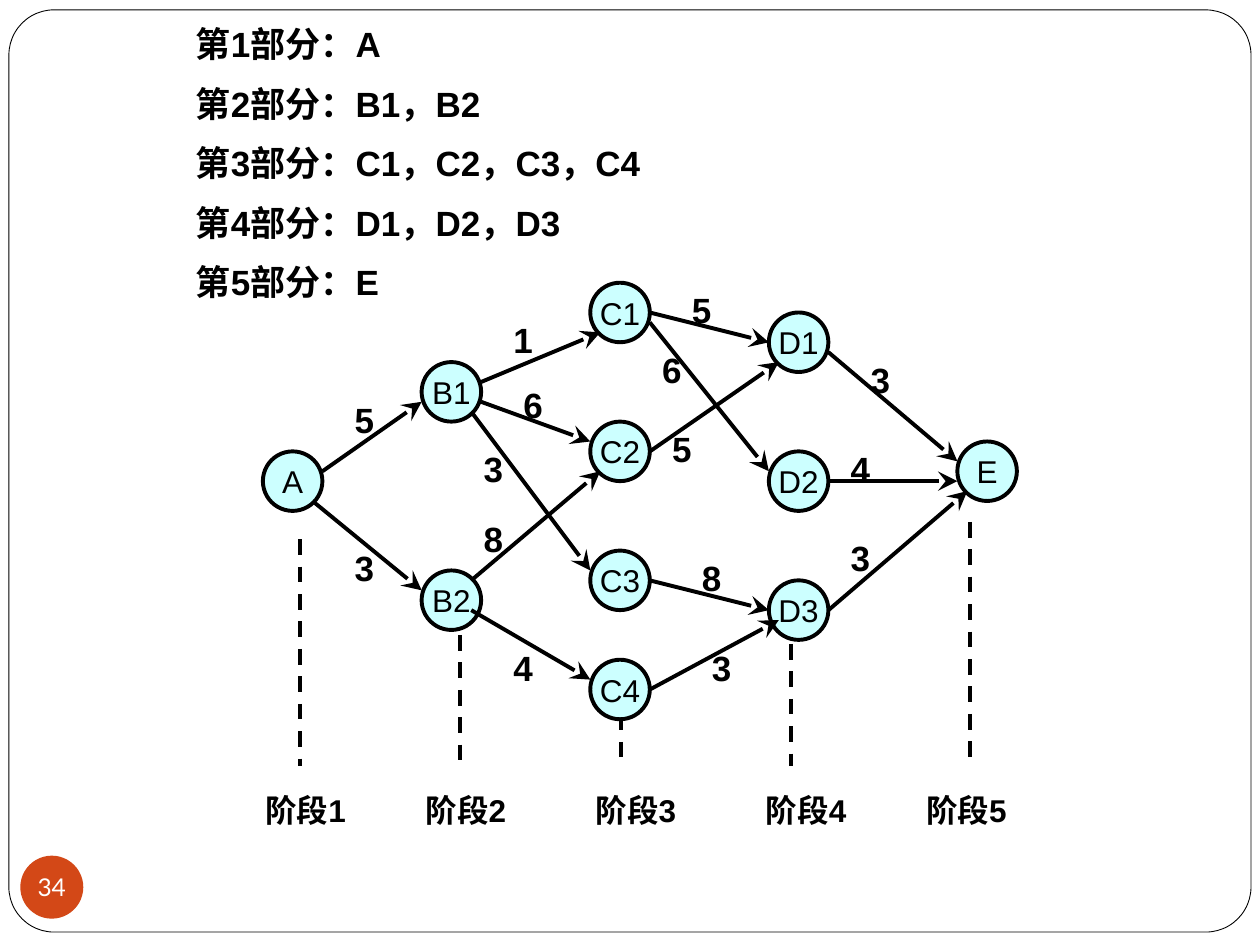
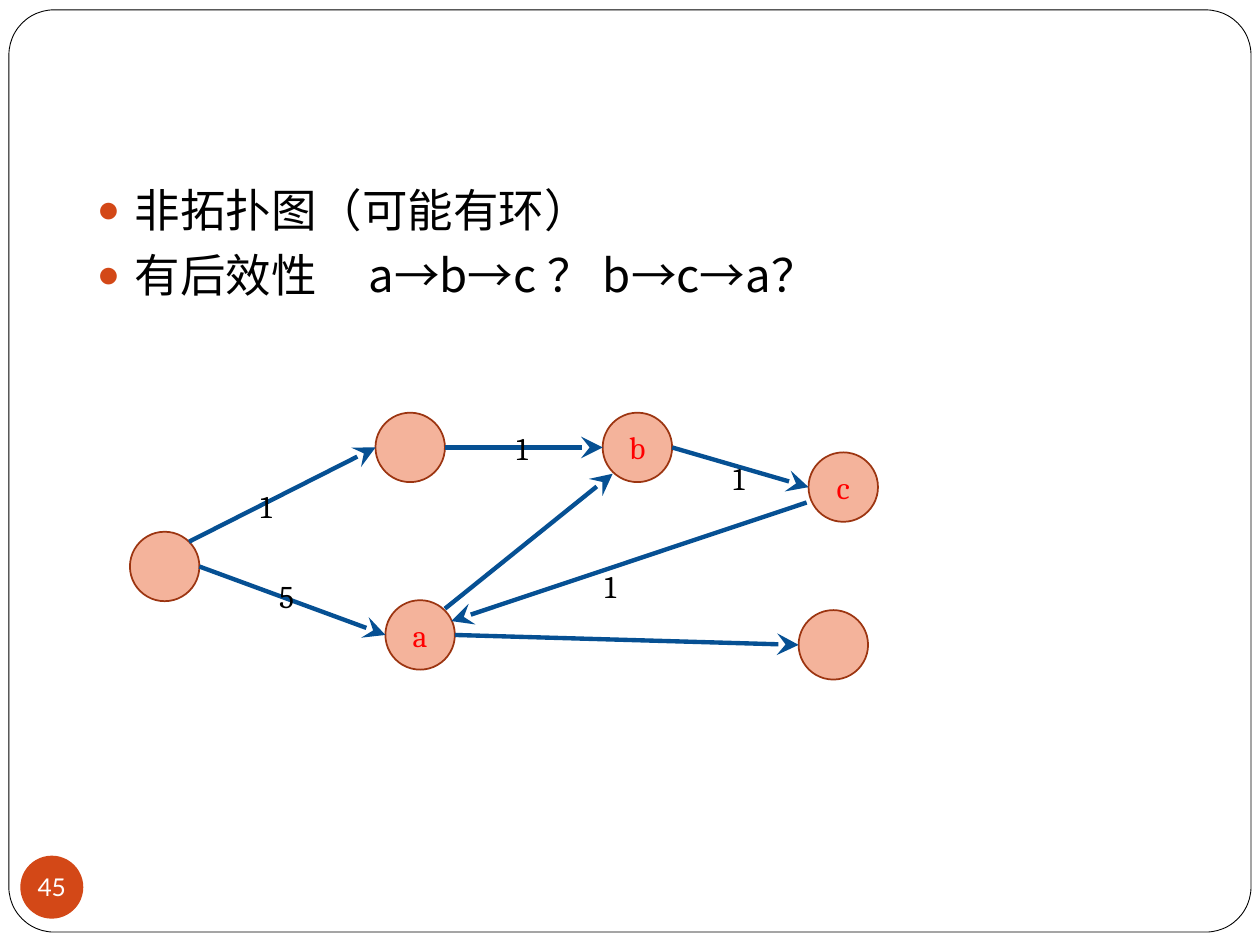
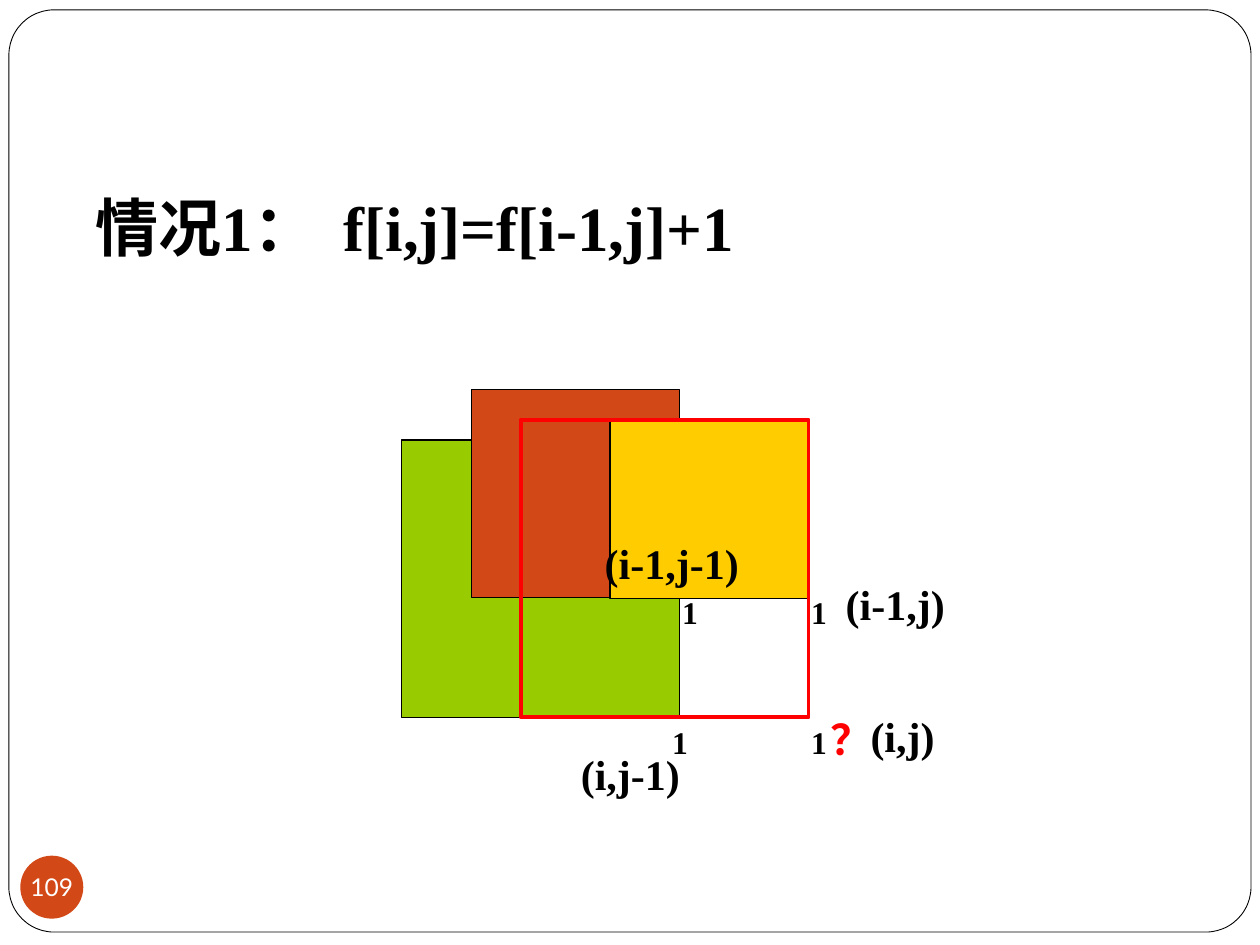
from lxml.etree import SubElement
from pptx import Presentation
from pptx.dml.color import RGBColor
from pptx.enum.dml import MSO_LINE
from pptx.enum.shapes import MSO_CONNECTOR, MSO_SHAPE
from pptx.enum.text import MSO_ANCHOR, MSO_AUTO_SIZE, PP_ALIGN
from pptx.oxml.ns import qn
from pptx.util import Cm, Pt

HUE = {
    "ink": "000000", "paper": "FFFFFF", "rust": "D34817", "aqua": "CCFFFF",
    "peach": "F4B39B", "brown": "9C3511", "navy": "065093", "red": "FF0000",
    "green": "99CC00", "gold": "FFCC00",
}
HAN = "Noto Sans CJK SC"
SANS, SERIF, ROMAN = "Arial", "Cambria", "Times New Roman"


def tint(name):
    return RGBColor.from_string(HUE[name])


def add_run(para, text, size, face, hue="ink", bold=False):
    run = para.add_run()
    run.text = text
    font = run.font
    font.size, font.name, font.bold = Pt(size), face, bold
    font.color.rgb = tint(hue)
    SubElement(font._element, qn("a:ea"), typeface=HAN)


def add_shape(slide, kind, box, fill=None, edge=None, width=1):
    shape = slide.shapes.add_shape(kind, *map(Cm, box))
    shape.shadow.inherit = False
    if fill:
        shape.fill.solid()
        shape.fill.fore_color.rgb = tint(fill)
    else:
        shape.fill.background()
    if edge:
        shape.line.color.rgb = tint(edge)
        shape.line.width = Pt(width)
    else:
        shape.line.fill.background()
    return shape


def add_disc(slide, left, top, side, fill, edge=None, width=1,
             text="", size=18, face=SANS, hue="ink"):
    disc = add_shape(slide, MSO_SHAPE.OVAL, (left, top, side, side), fill, edge, width)
    if text:
        frame = disc.text_frame
        frame.word_wrap = False
        frame.vertical_anchor = MSO_ANCHOR.MIDDLE
        frame.margin_left = frame.margin_right = 0
        frame.margin_top = frame.margin_bottom = 0
        para = frame.paragraphs[0]
        para.alignment = PP_ALIGN.CENTER
        add_run(para, text, size, face, hue)


def add_text(slide, box, lines, size, face, hue="ink", bold=True, wrap=True, lead=None):
    frame = slide.shapes.add_textbox(*map(Cm, box)).text_frame
    frame.word_wrap = wrap
    frame.auto_size = MSO_AUTO_SIZE.SHAPE_TO_FIT_TEXT
    for i, line in enumerate(lines):
        para = frame.add_paragraph() if i else frame.paragraphs[0]
        if i:
            para.space_before = Pt(size / 2)
        if lead:
            para.line_spacing = Pt(lead)
        add_run(para, line, size, face, hue, bold)


def add_line(slide, start, end, hue="ink", width=2.25, dash=None, arrow=False):
    line = slide.shapes.add_connector(MSO_CONNECTOR.STRAIGHT, *map(Cm, start + end))
    line.line.color.rgb = tint(hue)
    line.line.width = Pt(width)
    if dash:
        line.line.dash_style = dash
    props = line.element.spPr
    if arrow:
        SubElement(props.find(qn("a:ln")), qn("a:tailEnd"), type="stealth", w="lg", len="lg")
    SubElement(props, qn("a:effectLst"))


def add_bullet(para, tab):
    para.space_before = Pt(5.8)
    para.line_spacing = Pt(31.3)
    props = para._p.get_or_add_pPr()
    props.set("marL", str(Cm(0.76)))
    props.set("indent", str(-Cm(0.76)))
    color = SubElement(props, qn("a:buClr"))
    SubElement(color, qn("a:srgbClr"), val=HUE["rust"])
    SubElement(props, qn("a:buSzPct"), val="85000")
    SubElement(props, qn("a:buFont"), typeface=SANS)
    SubElement(props, qn("a:buChar"), char="●")
    tabs = SubElement(props, qn("a:tabLst"))
    SubElement(tabs, qn("a:tab"), pos=str(Cm(tab)), algn="l")


def add_frame(deck, slide):
    frame = add_shape(slide, MSO_SHAPE.ROUNDED_RECTANGLE, (0.18, 0.2, 25.04, 18.59),
                      "paper", "ink", 0.5)
    frame.adjustments[0] = 0.049
    frame.element.nvSpPr.cNvPr.set("id", "99")
    deck.slide_master.shapes.element.insert(2, frame.element)


def add_page(slide, number):
    add_disc(slide, 0.41, 17.25, 1.27, "rust", text=number, size=14, face="Lato", hue="paper")


def draw_stages(slide):
    add_page(slide, "34")
    stages = [(6.05, 10.87, 5.1), (9.27, 12.8, 8.33), (12.52, 14.4, 11.76),
              (15.95, 12.98, 15.19), (19.56, 10.52, 18.42)]
    for i, (x, top, left) in enumerate(stages, 1):
        add_line(slide, (x, top), (x, 15.44), dash=MSO_LINE.DASH)
        add_text(slide, (left, 15.8, 2.3, 1.02), [f"阶段{i}"], 18, SANS, lead=22)
    parts = ["A", "B1，B2", "C1，C2，C3，C4", "D1，D2，D3", "E"]
    lines = [f"第{i}部分：{part}" for i, part in enumerate(parts, 1)]
    add_text(slide, (3.7, 0.33, 11, 6.25), lines, 20, SANS, lead=24)

    ranks = [(5.3, {"A": 9.1}), (8.5, {"B1": 7.3, "B2": 11.5}),
             (11.9, {"C1": 5.7, "C2": 8.5, "C3": 11.1, "C4": 13.3}),
             (15.5, {"D1": 6.3, "D2": 9.1, "D3": 11.7}), (19.3, {"E": 8.9})]
    for left, nodes in ranks:
        for name, top in nodes.items():
            add_disc(slide, left, top, 1.2, "aqua", "ink", 2.25, name)
    links = [
        ((6.5, 9.5), (8.5, 8.1), "5", (6.9, 7.9)),
        ((6.3, 10.1), (8.5, 11.9), "3", (6.9, 10.9)),
        ((9.7, 7.7), (12.1, 6.7), "1", (10.1, 6.3)),
        ((9.7, 8.1), (11.9, 8.9), "6", (10.3, 7.6)),
        ((9.5, 8.3), (11.9, 11.5), "3", (9.5, 8.9)),
        ((9.5, 11.7), (12.1, 9.5), "8", (9.5, 10.3)),
        ((9.5, 12.3), (11.9, 13.7), "4", (10.1, 12.9)),
        ((13.1, 6.3), (15.5, 6.9), "5", (13.7, 5.7)),
        ((13.1, 6.5), (15.5, 9.5), "6", (13.1, 6.9)),
        ((13.1, 9.1), (15.7, 7.3), "5", (13.3, 8.5)),
        ((13.1, 11.7), (15.5, 12.3), "8", (13.9, 11.1)),
        ((13.1, 13.9), (15.7, 12.5), "3", (14.1, 12.9)),
        ((16.7, 7.1), (19.3, 9.3), "3", (17.3, 7.1)),
        ((16.7, 9.7), (19.3, 9.7), "4", (16.9, 8.9)),
        ((16.7, 12.3), (19.5, 9.9), "3", (16.9, 10.7)),
    ]
    for start, end, cost, spot in links:
        add_line(slide, start, end, arrow=True)
        add_text(slide, spot + (1, 1.1), [cost], 20, SANS)


def draw_cycle(slide):
    add_page(slide, "45")
    slide.shapes.title.element.getparent().remove(slide.shapes.title.element)
    body = slide.placeholders[1]
    body.left, body.top, body.width, body.height = map(Cm, (1.7, 3.53, 22.86, 3.4))
    frame = body.text_frame
    for i, line in enumerate(["非拓扑图（可能有环）", "有后效性\ta→b→c ？ b→c→a？"]):
        para = frame.add_paragraph() if i else frame.paragraphs[0]
        add_bullet(para, 5.48)
        if not i:
            para.space_before = Pt(0)
        add_run(para, line, 26, HAN)

    nodes = [("", 2.62, 10.72), ("", 7.57, 8.32), ("a", 7.77, 12.1),
             ("b", 12.15, 8.32), ("c", 16.3, 9.12), ("", 16.1, 12.3)]
    for name, left, top in nodes:
        add_disc(slide, left, top, 1.4, "peach", "brown", 1, name, face=SERIF, hue="red")
    links = [
        ((3.81, 10.92), (7.57, 9.02)), ((4.02, 11.42), (7.77, 12.8)),
        ((8.97, 9.02), (12.15, 9.02)), ((8.97, 12.27), (12.35, 9.55)),
        ((13.55, 9.02), (16.3, 9.82)), ((16.26, 10.13), (9.1, 12.52)),
        ((9.17, 12.8), (16.1, 13)),
    ]
    for start, end in links:
        add_line(slide, start, end, "navy", 2.5, arrow=True)
    costs = [("5", 5.38, 11.5), ("1", 5, 9.7), ("1", 10.16, 8.53),
             ("1", 14.53, 9.12), ("1", 11.94, 11.3)]
    for cost, left, top in costs:
        add_text(slide, (left, top, 0.75, 1.02), [cost], 18, SERIF, bold=False, wrap=False)


def draw_case(slide):
    blocks = [("green", (8.1, 8.87, 5.6, 5.6)), ("rust", (9.5, 7.85, 4.2, 4.2)),
              ("gold", (12.3, 8.46, 4, 3.6))]
    for fill, box in blocks:
        add_shape(slide, MSO_SHAPE.RECTANGLE, box, fill, "ink", 0.75)
    corner = (16.3, 14.46)
    add_line(slide, (16.3, 12.06), corner, width=0.75, dash=MSO_LINE.ROUND_DOT)
    add_line(slide, (13.7, 14.46), corner, width=0.75)
    for spot in [(16.1, 14.46), (16.1, 11.84), (13.5, 11.84), (13.3, 14.46)]:
        add_text(slide, spot + (1.2, 1.02), ["1"], 18, ROMAN)
    add_text(slide, (1.68, 3.63, 5, 1.8), ["情况1："], 36, ROMAN, lead=44.6)
    add_shape(slide, MSO_SHAPE.RECTANGLE, (10.5, 8.46, 5.8, 6), None, "red", 2.25)
    add_text(slide, (16.5, 14.25, 1, 1.27), ["？"], 24, ROMAN, "red", lead=29)
    cells = [("(i,j)", 17.3, 14.2, 2.6), ("(i-1,j)", 16.8, 11.53, 3.9),
             ("(i-1,j-1)", 11.94, 10.72, 5.56), ("(i,j-1)", 11.46, 14.96, 5.56)]
    for name, left, top, width in cells:
        add_text(slide, (left, top, width, 1.27), [name], 24, ROMAN)
    add_text(slide, (6.68, 3.68, 12.8, 1.8), ["f[i,j]=f[i-1,j]+1"], 36, ROMAN)
    add_page(slide, "109")


def main():
    deck = Presentation()
    deck.slide_width, deck.slide_height = Cm(25.4), Cm(19.05)
    plans = [(6, draw_stages), (1, draw_cycle), (6, draw_case)]
    for i, (layout, draw) in enumerate(plans):
        slide = deck.slides.add_slide(deck.slide_layouts[layout])
        if not i:
            add_frame(deck, slide)
        draw(slide)
    deck.save("out.pptx")


if __name__ == "__main__":
    main()
